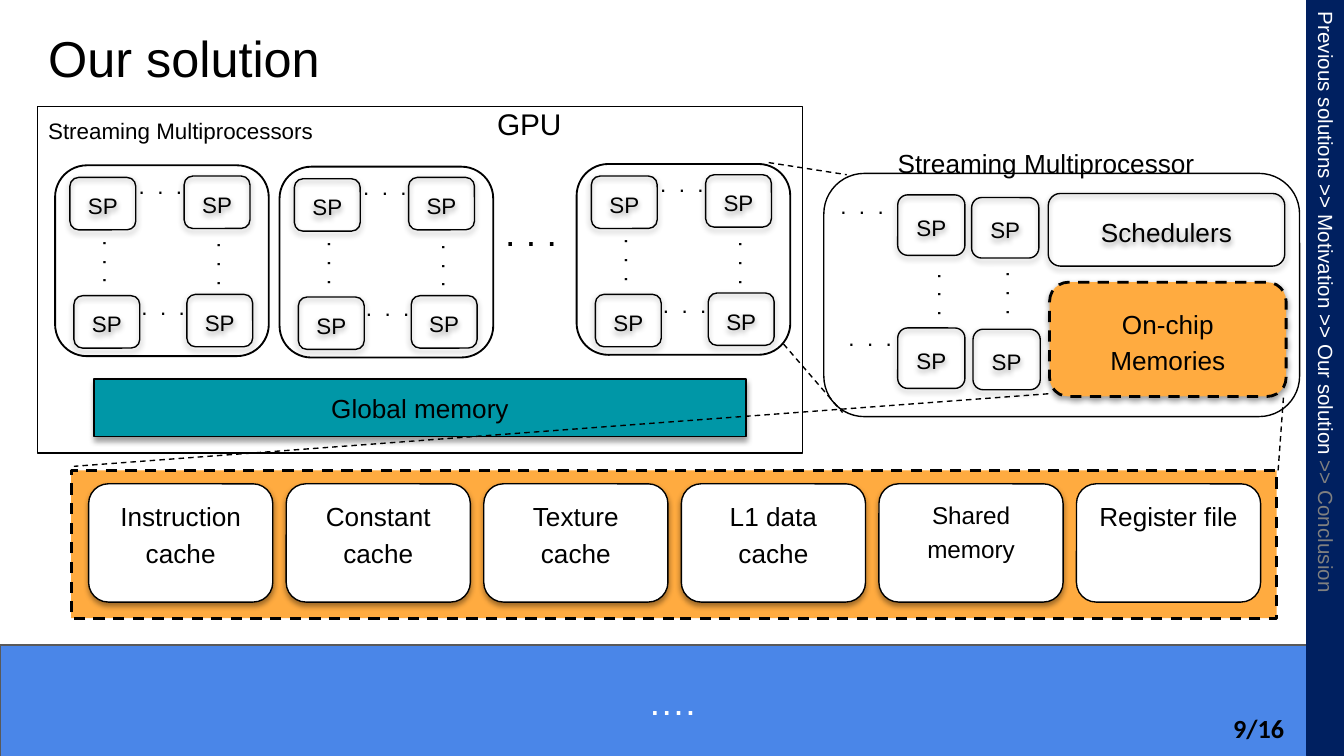
from dataclasses import dataclass

import pptx
import pptx.dml.color
import pptx.enum.dml
import pptx.enum.shapes
import pptx.enum.text
import pptx.oxml
import pptx.oxml.ns
import pptx.util
from pptx.util import Inches

SHAPE = pptx.enum.shapes.MSO_SHAPE
ALIGN = pptx.enum.text.PP_ALIGN
ANCHOR = pptx.enum.text.MSO_ANCHOR


@dataclass(frozen=True)
class Theme:
    font: str = "Arial"
    number_font: str = "Calibri"
    ink: str = "000000"
    paper: str = "FFFFFF"
    orange: str = "FFAB40"
    teal: str = "0097A7"
    blue: str = "4A86E8"
    blue_edge: str = "595959"
    navy: str = "002060"
    muted: str = "808080"
    title: float = 27
    large: float = 20
    heading: float = 16
    body: float = 14
    compact: float = 13
    small: float = 12
    tiny: float = 11
    thin: float = 0.75
    medium: float = 1
    thick: float = 1.5
    spacing: float = 1.15


@dataclass(frozen=True)
class Box:
    x: float
    y: float
    w: float
    h: float

    def sub(self, dx, dy, w, h):
        return Box(self.x + dx, self.y + dy, w, h)

    def inches(self):
        return [Inches(v) for v in (self.x, self.y, self.w, self.h)]


T = Theme()


def rgb(value):
    return pptx.dml.color.RGBColor.from_string(value)


def style_line(line, color, width, dashed):
    line.color.rgb = rgb(color)
    line.width = pptx.util.Pt(width)
    if dashed:
        line.dash_style = pptx.enum.dml.MSO_LINE.DASH


def write(sp, text, size, color=T.ink, align=ALIGN.CENTER, anchor=ANCHOR.MIDDLE,
          spacing=None, pad=0.05):
    tf = sp.text_frame
    tf.word_wrap = True
    tf.vertical_anchor = anchor
    tf.margin_left = tf.margin_right = Inches(0.1)
    tf.margin_top = tf.margin_bottom = Inches(pad)
    p = tf.paragraphs[0]
    p.add_run().text = text
    p.alignment = align
    p.line_spacing = spacing
    p.font.name = T.font
    p.font.size = pptx.util.Pt(size)
    p.font.color.rgb = rgb(color)
    return p


def add_text(slide, box, text, size, align=ALIGN.LEFT, anchor=ANCHOR.TOP, **kw):
    sp = slide.shapes.add_textbox(*box.inches())
    write(sp, text, size, align=align, anchor=anchor, **kw)
    return sp


def add_box(slide, box, kind=SHAPE.ROUNDED_RECTANGLE, fill=None, line=T.ink,
            width=T.thin, dashed=False, shadow=False):
    sp = slide.shapes.add_shape(kind, *box.inches())
    sp.shadow.inherit = False
    if fill:
        sp.fill.solid()
        sp.fill.fore_color.rgb = rgb(fill)
    else:
        sp.fill.background()
    style_line(sp.line, line, width, dashed)
    if shadow:
        effects = sp._element.spPr.find(pptx.oxml.ns.qn("a:effectLst"))
        effects.append(pptx.oxml.parse_xml(
            f'<a:outerShdw {pptx.oxml.ns.nsdecls("a")} blurRad="39370" dist="20320" '
            f'dir="5400000" rotWithShape="0"><a:srgbClr val="{T.ink}">'
            '<a:alpha val="38000"/></a:srgbClr></a:outerShdw>'))
    return sp


def add_dashes(slide, x1, y1, x2, y2):
    line = slide.shapes.add_connector(
        pptx.enum.shapes.MSO_CONNECTOR.STRAIGHT, *(Inches(v) for v in (x1, y1, x2, y2)))
    style_line(line.line, T.ink, T.thin, True)
    line._element.spPr.append(
        pptx.oxml.parse_xml(f'<a:effectLst {pptx.oxml.ns.nsdecls("a")}/>'))


def add_dots(slide, box, vertical=False):
    sp = add_text(slide, box, ". . .", T.small, align=ALIGN.CENTER, spacing=T.spacing)
    r = sp.text_frame.paragraphs[0].runs[0]
    r._r.get_or_add_rPr().set("spc", "167")
    if vertical:
        sp.rotation = 90


def add_processor(slide, box):
    write(add_box(slide, box, shadow=True), "SP", T.small, spacing=T.spacing)


def draw_title(slide, box):
    sp = add_text(slide, box, "Our solution", T.title, anchor=ANCHOR.BOTTOM)
    sp.text_frame.margin_bottom = Inches(0.56)


def draw_multiprocessor(slide, box):
    add_box(slide, box, width=T.medium)
    for dx, dy in ((0.11, 0.09), (0.96, 0.08), (0.14, 0.97), (0.98, 0.96)):
        add_processor(slide, box.sub(dx, dy, 0.49, 0.39))
    for dx, dy in ((0.47, -0.03), (0.49, 0.87)):
        add_dots(slide, box.sub(dx, dy, 0.63, 0.37))
    for dx, dy in ((0.06, 0.57), (0.91, 0.59)):
        add_dots(slide, box.sub(dx, dy, 0.79, 0.3), vertical=True)


def draw_gpu(slide, box):
    add_box(slide, box, SHAPE.RECTANGLE, T.paper)
    add_text(slide, box.sub(3.32, -0.05, 1.56, 0.46), "GPU", T.heading)
    add_text(slide, box.sub(-0.02, 0, 3.22, 0.43), "Streaming Multiprocessors",
             T.small, spacing=T.spacing)
    memory = add_box(slide, box.sub(0.42, 2.03, 4.85, 0.43), SHAPE.RECTANGLE,
                     T.teal, shadow=True)
    write(memory, "Global memory", T.body)
    for dx, dy in ((0.13, 0.44), (1.8, 0.45), (4.01, 0.43)):
        draw_multiprocessor(slide, box.sub(dx, dy, 1.59, 1.42))
    add_text(slide, box.sub(3.38, 0.72, 0.69, 0.54), ". . .", T.large)


def draw_detail(slide, box):
    add_text(slide, box.sub(0.45, -0.28, 3.22, 0.64), "Streaming Multiprocessor",
             T.body, spacing=T.spacing)
    add_box(slide, box)
    schedulers = add_box(slide, box.sub(1.67, 0.15, 1.76, 0.54), shadow=True)
    write(schedulers, "Schedulers", T.body, spacing=T.spacing)
    memories = add_box(slide, box.sub(1.68, 0.81, 1.76, 0.85), fill=T.orange,
                       width=T.thick, dashed=True, shadow=True)
    write(memories, "On-chip Memories", T.body, spacing=T.spacing)
    for dx, dy in ((0.55, 0.16), (1.1, 0.18), (0.55, 1.15), (1.11, 1.16)):
        add_processor(slide, box.sub(dx, dy, 0.5, 0.45))
    for dx, dy in ((-0.1, 0.06), (-0.04, 1.04)):
        add_dots(slide, box.sub(dx, dy, 0.77, 0.89))
    for dx, dy in ((0.26, 0.55), (0.77, 0.54)):
        add_dots(slide, box.sub(dx, dy, 0.96, 0.71), vertical=True)


def draw_memories(slide, box):
    add_box(slide, box, SHAPE.RECTANGLE, T.orange, width=T.thick, dashed=True)
    memories = (("Instruction cache", T.body, True), ("Constant cache", T.body, True),
                ("Texture cache", T.body, True), ("L1 data cache", T.body, True),
                ("Shared memory", T.compact, True), ("Register file", T.body, False))
    for i, (name, size, shadow) in enumerate(memories):
        sp = add_box(slide, box.sub(0.13 + 1.47 * i, 0.1, 1.37, 0.88),
                     fill=T.paper, shadow=shadow)
        write(sp, name, size, anchor=ANCHOR.TOP, spacing=T.spacing)


def draw_zoom_lines(slide, gpu, detail, memories):
    add_dashes(slide, gpu.x + 5.44, gpu.y + 0.42, detail.x + 0.17, detail.y + 0.01)
    add_dashes(slide, gpu.x + 5.55, gpu.y + 1.77, detail.x + 0.14, detail.y + 1.78)
    add_dashes(slide, detail.x + 1.67, detail.y + 1.64, memories.x + 0.02, memories.y - 0.03)
    add_dashes(slide, memories.x + 8.98, memories.y, detail.x + 3.42, detail.y + 1.66)


def draw_footer(slide, box):
    sp = add_box(slide, box, SHAPE.RECTANGLE, T.blue, T.blue_edge)
    write(sp, "….", T.large, T.paper, pad=0.1)


def draw_page_number(slide, box):
    sp = add_text(slide, box, "9/16", T.body, align=ALIGN.CENTER,
                  anchor=ANCHOR.MIDDLE, pad=0.1)
    p = sp.text_frame.paragraphs[0]
    p.font.name = T.number_font
    p.font.bold = True


def draw_sidebar(slide, box):
    turned = box.sub((box.w - box.h) / 2, (box.h - box.w) / 2, box.h, box.w)
    sp = add_box(slide, turned, SHAPE.RECTANGLE, T.navy, T.navy)
    sp.rotation = 90
    p = write(sp, "Previous solutions >> Motivation >> Our solution ", T.tiny,
              T.paper, align=ALIGN.LEFT, anchor=ANCHOR.TOP)
    r = p.add_run()
    r.text = ">> Conclusion"
    r.font.color.rgb = rgb(T.muted)


def main():
    prs = pptx.Presentation()
    prs.slide_width = Inches(10)
    prs.slide_height = prs.slide_width * 9 // 16
    slide = prs.slides.add_slide(prs.slide_layouts[6])
    gpu = Box(0.28, 0.79, 5.69, 2.58)
    detail = Box(6.13, 1.29, 3.54, 1.81)
    memories = Box(0.53, 3.5, 8.97, 1.1)
    draw_title(slide, Box(0.26, 0.33, 9.32, 0.88))
    draw_gpu(slide, gpu)
    draw_zoom_lines(slide, gpu, detail, memories)
    draw_detail(slide, detail)
    draw_memories(slide, memories)
    draw_footer(slide, Box(0, 4.8, 10, 0.83))
    draw_sidebar(slide, Box(9.72, -0.01, 0.29, 5.63))
    draw_page_number(slide, Box(9.02, 5.22, 0.69, 0.4))
    prs.save("out.pptx")


if __name__ == "__main__":
    main()
